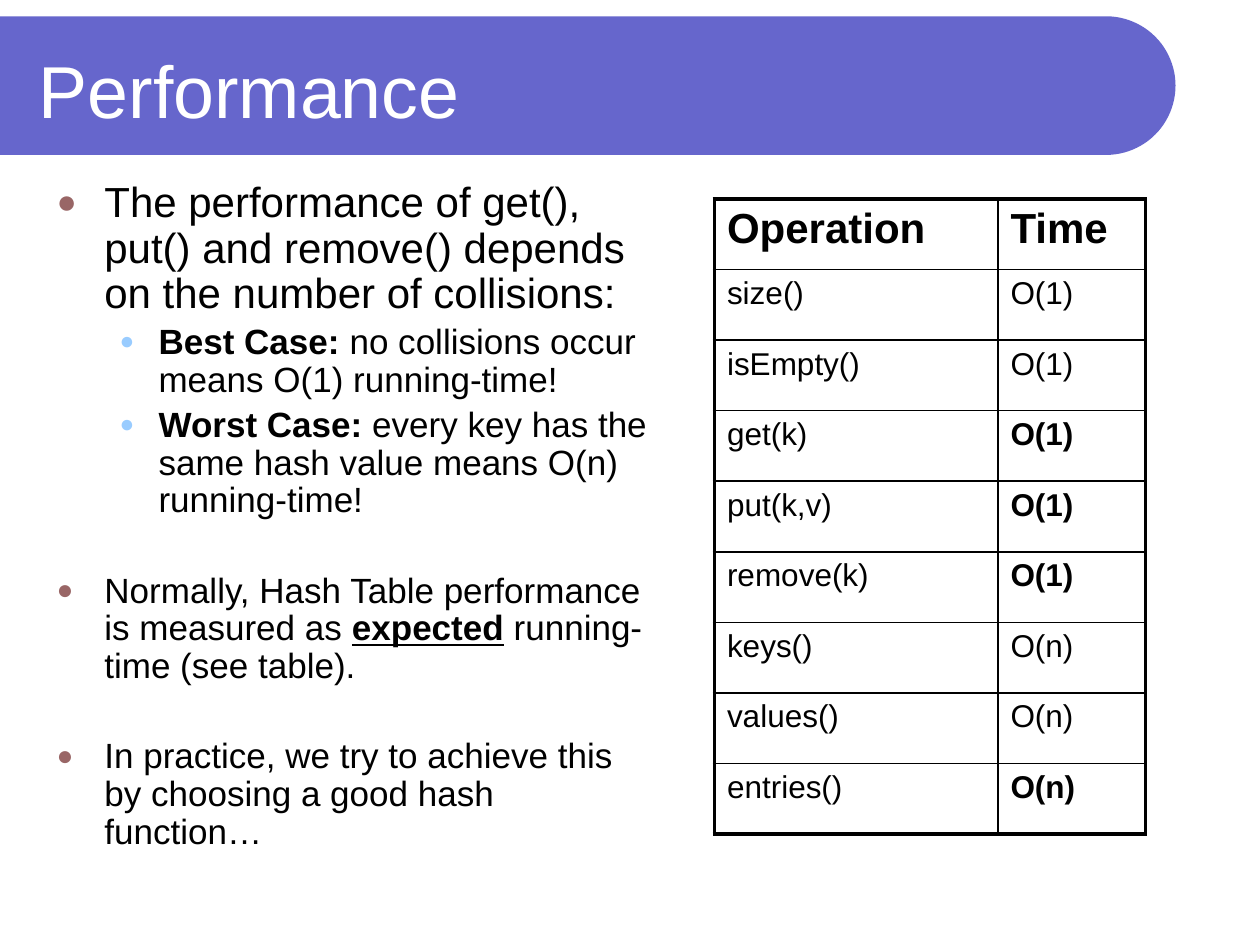
import math
from pptx import Presentation
from pptx import util as u
from pptx.dml.color import RGBColor
from pptx.enum import text
from pptx.oxml.ns import qn
from lxml import etree

VIOLET = RGBColor(0x66, 0x66, 0xCC)
WHITE = RGBColor(0xFF, 0xFF, 0xFF)
BLACK = RGBColor(0, 0, 0)
ROSE = RGBColor(0x99, 0x66, 0x66)
SKY = RGBColor(0x99, 0xCC, 0xFF)
FONT = "Arial"
THIN, THICK = 1, 2.25

BULLETS = [
    dict(spans=[("The performance of get(), put() and remove() depends "
                 "on the number of collisions:", "")], size=24),
    dict(spans=[("Best Case: ", "b"),
                ("no collisions occur means O(1) running-time!", "")], level=1, before=4),
    dict(spans=[("Worst Case: ", "b"),
                ("every key has the same hash value means O(n) running-time!", "")],
         level=1, before=4),
    dict(spans=[("Normally, Hash Table performance is measured as ", ""),
                ("expected", "bu"), (" running-time (see table).", "")], before=30),
    dict(spans=[("In practice, we try to achieve this by choosing "
                 "a good hash function…", "")], before=30),
]
LEVELS = [(0.38, 0.38, ROSE, 80), (0.81, 0.31, SKY, 70)]

TIMES = [
    ("size()", "O(1)", False), ("isEmpty()", "O(1)", False),
    ("get(k)", "O(1)", True), ("put(k,v)", "O(1)", True),
    ("remove(k)", "O(1)", True), ("keys()", "O(n)", False),
    ("values()", "O(n)", False), ("entries()", "O(n)", True),
]


def add_span(para, words, size=20, color=BLACK, bold=False, underline=False):
    span = para.add_run()
    span.text = words
    font = span.font
    font.name, font.size, font.bold = FONT, u.Pt(size), bold
    font.color.rgb = color
    if underline:
        font.underline = True


def add_bullet(para, level):
    left, hanging, color, percent = LEVELS[level]
    props = para._p.get_or_add_pPr()
    props.set("marL", str(u.Inches(left)))
    props.set("indent", str(-u.Inches(hanging)))
    tint = etree.SubElement(props, qn("a:buClr"))
    etree.SubElement(tint, qn("a:srgbClr")).set("val", str(color))
    etree.SubElement(props, qn("a:buSzPct")).set("val", str(percent * 1000))
    etree.SubElement(props, qn("a:buFont")).set("typeface", FONT)
    etree.SubElement(props, qn("a:buChar")).set("char", "●")


def set_borders(cell, widths):
    props = cell._tc.get_or_add_tcPr()
    for index, (side, width) in enumerate(zip("LRTB", widths)):
        line = etree.Element(qn(f"a:ln{side}"), w=str(u.Pt(width)))
        fill = etree.SubElement(line, qn("a:solidFill"))
        etree.SubElement(fill, qn("a:srgbClr")).set("val", str(BLACK))
        props.insert(index, line)


class SlideBuilder:
    def __init__(self, page):
        self.page = page

    def banner(self, right, top, height, color):
        radius = height / 2
        angles = [math.pi * (step / 48 - 0.5) for step in range(49)]
        arc = [(u.Inches(right - radius + radius * math.cos(angle)),
                u.Inches(top + radius + radius * math.sin(angle))) for angle in angles]
        outline = self.page.shapes.build_freeform(0, u.Inches(top))
        outline.add_line_segments(arc + [(0, u.Inches(top + height))], close=True)
        shape = outline.convert_to_shape()
        shape.shadow.inherit = False
        shape.fill.solid()
        shape.fill.fore_color.rgb = color
        shape.line.fill.background()

    def text_box(self, left, top, width, height, anchor):
        box = self.page.shapes.add_textbox(*map(u.Inches, (left, top, width, height)))
        frame = box.text_frame
        frame.word_wrap = True
        frame.vertical_anchor = anchor
        return frame

    def title(self, words):
        frame = self.text_box(0.21, 0.21, 8.77, 1, text.MSO_ANCHOR.MIDDLE)
        add_span(frame.paragraphs[0], words, size=42, color=WHITE)

    def bullets(self, items):
        frame = self.text_box(0.35, 1.39, 4.98, 5.75, text.MSO_ANCHOR.TOP)
        for index, item in enumerate(items):
            para = frame.add_paragraph() if index else frame.paragraphs[0]
            level = item.get("level", 0)
            para.level = level
            add_bullet(para, level)
            para.line_spacing = 0.9
            if index:
                para.space_before = u.Pt(item["before"])
            for words, style in item["spans"]:
                add_span(para, words, size=item.get("size", 20),
                         bold="b" in style, underline="u" in style)

    def table(self, left, top, column_widths, row_height, headings, rows):
        count = len(rows) + 1
        table = self.page.shapes.add_table(
            count, len(headings), u.Inches(left), u.Inches(top),
            u.Inches(sum(column_widths)), u.Inches(row_height * count)).table
        table.first_row = table.horz_banding = False
        for column, width in zip(table.columns, column_widths):
            column.width = u.Inches(width)
        cells = [[(words, 24, True) for words in headings]]
        cells += [[(name, 18, False), (time, 18, strong)] for name, time, strong in rows]
        for r, row in enumerate(cells):
            for c, (words, size, bold) in enumerate(row):
                cell = table.cell(r, c)
                cell.fill.background()
                add_span(cell.text_frame.paragraphs[0], words, size=size, bold=bold)
                edges = (c == 0, c == len(row) - 1, r == 0, r == count - 1)
                set_borders(cell, [THICK if edge else THIN for edge in edges])


def main():
    deck = Presentation()
    deck.slide_width, deck.slide_height = u.Inches(10), u.Inches(7.5)
    builder = SlideBuilder(deck.slides.add_slide(deck.slide_layouts[6]))
    builder.banner(9.33, 0.13, 1.1, VIOLET)
    builder.title("Performance")
    builder.bullets(BULLETS)
    builder.table(5.67, 1.58, (2.25, 1.17), 0.56, ("Operation", "Time"), TIMES)
    deck.save("out.pptx")


if __name__ == "__main__":
    main()
